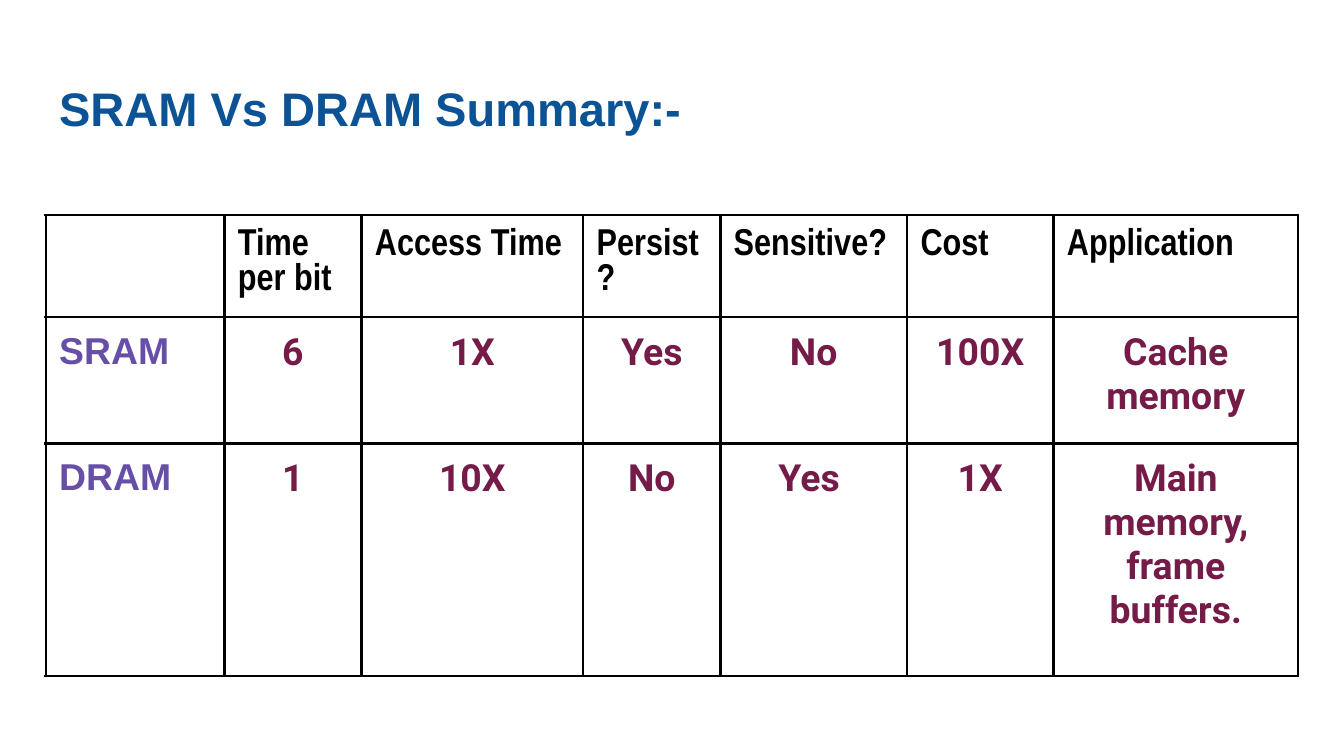
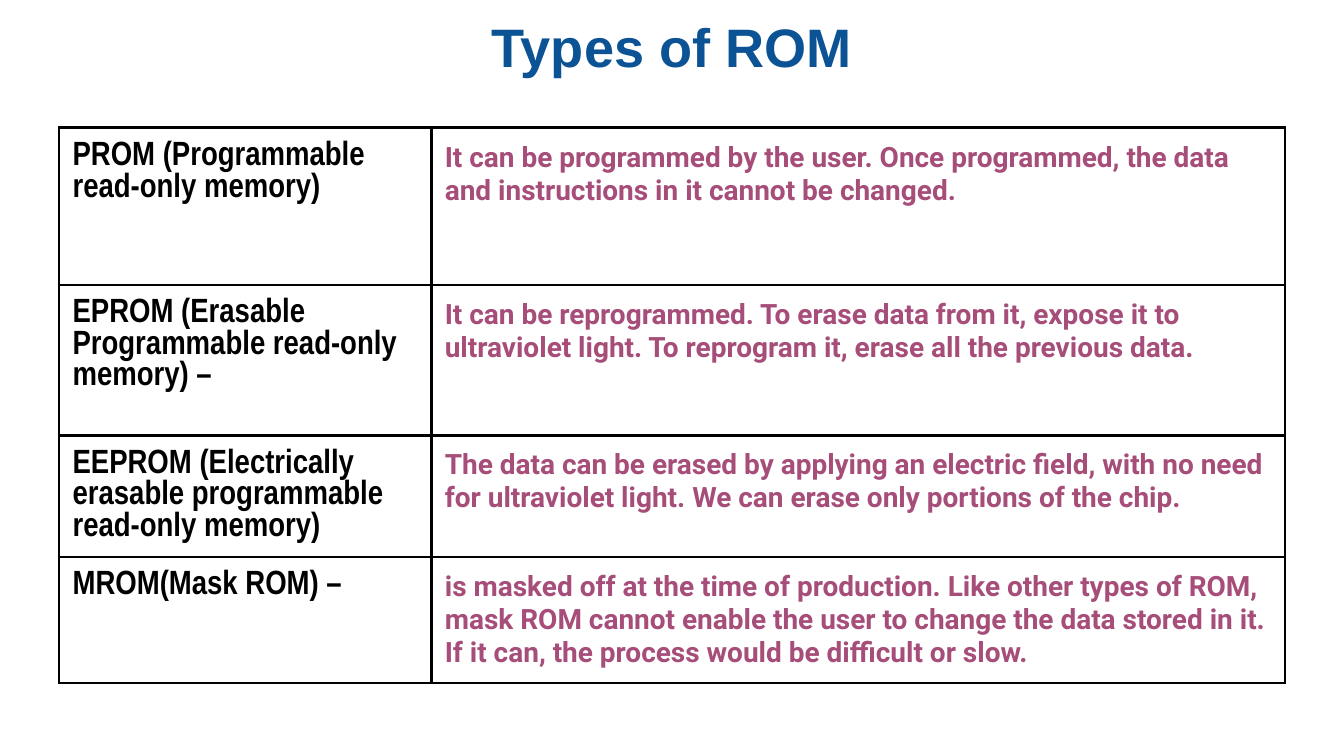
from dataclasses import dataclass

from lxml import etree
from pptx import Presentation
from pptx import util as u
from pptx.dml.color import RGBColor
from pptx.enum import text
from pptx.oxml import ns


@dataclass(frozen=True)
class TextStyle:
    font: str
    size: float
    color: str
    align: text.PP_ALIGN = text.PP_ALIGN.LEFT


@dataclass(frozen=True)
class Theme:
    title_color: str = "0B5394"
    title_font: str = "Arial"
    border_color: str = "000000"
    border_width: float = 1.5
    inset: float = 0.1
    heading: TextStyle = TextStyle("Arial Narrow", 20, "000000")
    memory: TextStyle = TextStyle("Arial", 20, "674EA7")
    value: TextStyle = TextStyle("Roboto", 20, "741B47", text.PP_ALIGN.CENTER)
    rom_type: TextStyle = TextStyle("Arial Narrow", 18, "000000")
    rom_detail: TextStyle = TextStyle("Roboto", 15, "A64D79")


class Deck:
    def __init__(self, theme):
        self.theme = theme
        self.prs = Presentation()
        self.prs.slide_width = u.Inches(10)
        self.prs.slide_height = u.Inches(10 * 9 / 16)
        self.slide = None

    def add_slide(self):
        self.slide = self.prs.slides.add_slide(self.prs.slide_layouts[5])

    def set_insets(self, holder):
        inset = u.Inches(self.theme.inset)
        holder.margin_left = holder.margin_right = inset
        holder.margin_top = holder.margin_bottom = inset

    def format_text(self, frame, style):
        for paragraph in frame.paragraphs:
            paragraph.alignment = style.align
            font = paragraph.font
            font.name = style.font
            font.size = u.Pt(style.size)
            font.bold = True
            font.color.rgb = RGBColor.from_string(style.color)

    def title(self, wording, top, height, size, align=text.PP_ALIGN.LEFT):
        heading = self.slide.shapes.title
        heading.left, heading.top = u.Inches(0.34), u.Inches(top)
        heading.width, heading.height = u.Inches(9.32), u.Inches(height)
        frame = heading.text_frame
        frame.text = wording
        frame.word_wrap = True
        frame.auto_size = text.MSO_AUTO_SIZE.NONE
        frame.vertical_anchor = text.MSO_ANCHOR.TOP
        self.set_insets(frame)
        style = TextStyle(self.theme.title_font, size, self.theme.title_color, align)
        self.format_text(frame, style)

    def border(self, cell):
        properties = cell._tc.get_or_add_tcPr()
        for side in ("a:lnL", "a:lnR", "a:lnT", "a:lnB"):
            line = etree.SubElement(properties, ns.qn(side))
            line.set("w", str(u.Pt(self.theme.border_width)))
            fill = etree.SubElement(line, ns.qn("a:solidFill"))
            color = etree.SubElement(fill, ns.qn("a:srgbClr"))
            color.set("val", self.theme.border_color)

    def table(self, left, top, widths, heights, rows, style_at):
        grid = self.slide.shapes.add_table(
            len(heights), len(widths), u.Inches(left), u.Inches(top),
            u.Inches(sum(widths)), u.Inches(sum(heights))).table
        grid.first_row = grid.horz_banding = False
        for column, width in zip(grid.columns, widths):
            column.width = u.Inches(width)
        for row, height in zip(grid.rows, heights):
            row.height = u.Inches(height)
        for r, row in enumerate(rows):
            for c, wording in enumerate(row):
                cell = grid.cell(r, c)
                self.border(cell)
                cell.fill.background()
                self.set_insets(cell)
                cell.text = wording
                self.format_text(cell.text_frame, style_at(r, c))


def comparison_slide(deck):
    theme = deck.theme
    comparison = [
        ["", "Time per bit", "Access Time", "Persist?", "Sensitive?", "Cost", "Application"],
        ["SRAM", "6", "1X", "Yes", "No", "100X", "Cache memory"],
        ["DRAM", "1", "10X", "No", "Yes ", "1X", "Main memory,\nframe buffers."],
    ]

    def style_at(row, column):
        if row == 0:
            return theme.heading
        return theme.value if column else theme.memory

    deck.add_slide()
    deck.title("SRAM Vs DRAM Summary:-", 0.49, 0.63, 25.2)
    deck.table(0.34, 1.6, [1.33, 1.02, 1.65, 1.02, 1.39, 1.09, 1.82],
               [0.76, 0.94, 1.73], comparison, style_at)


def rom_slide(deck):
    theme = deck.theme
    rom_types = [
        ("PROM (Programmable read-only memory)",
         "It can be programmed by the user. Once programmed, the data and "
         "instructions in it cannot be changed."),
        ("EPROM (Erasable Programmable read-only memory) –",
         "It can be reprogrammed. To erase data from it, expose it to "
         "ultraviolet light. To reprogram it, erase all the previous data."),
        ("EEPROM (Electrically erasable programmable read-only memory)",
         "The data can be erased by applying an electric field, with no need "
         "for ultraviolet light. We can erase only portions of the chip."),
        ("MROM(Mask ROM) –",
         "is masked off at the time of production. Like other types of ROM, "
         "mask ROM cannot enable the user to change the data stored in it. "
         "If it can, the process would be difficult or slow."),
    ]
    deck.add_slide()
    deck.title("Types of ROM", 0, 0.55, 29, text.PP_ALIGN.CENTER)
    deck.table(0.44, 0.95, [2.77, 6.35], [1.17, 1.12, 0.51, 0.51], rom_types,
               lambda row, column: theme.rom_detail if column else theme.rom_type)


def main():
    deck = Deck(Theme())
    comparison_slide(deck)
    rom_slide(deck)
    deck.prs.save("out.pptx")


if __name__ == "__main__":
    main()
